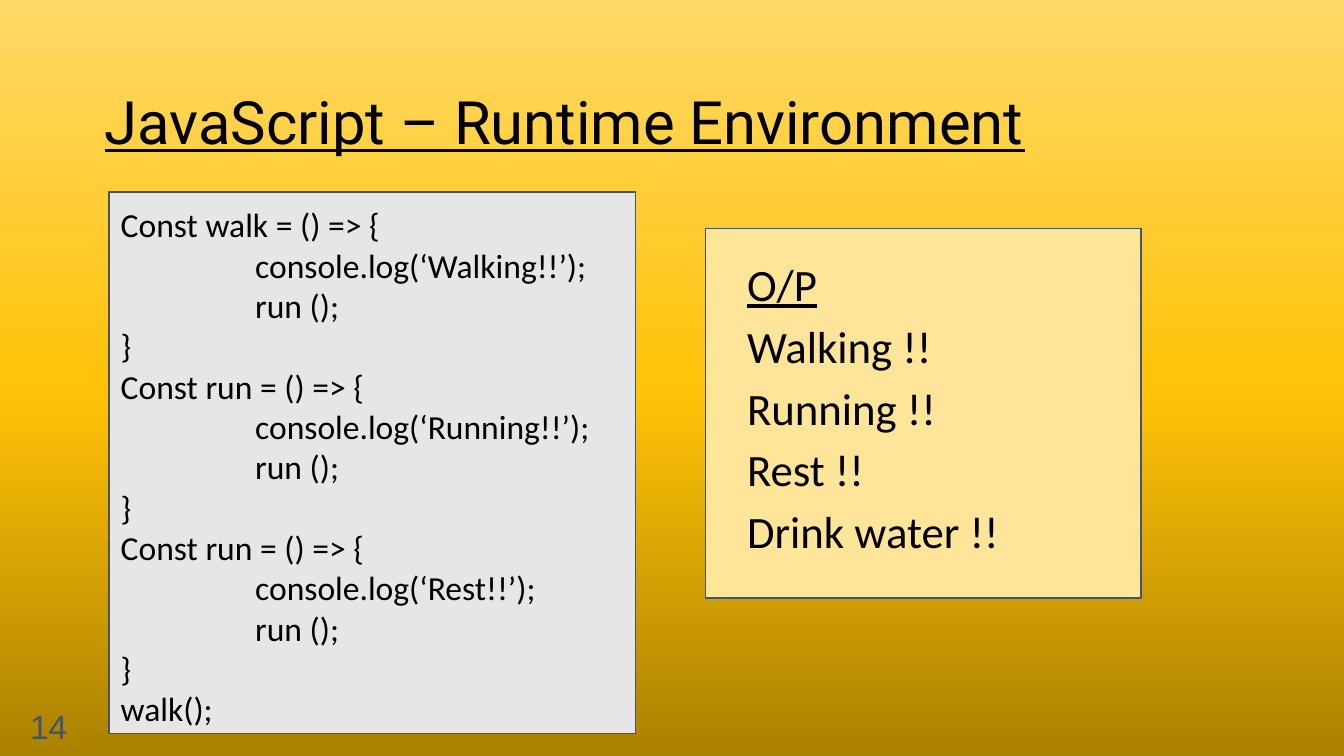
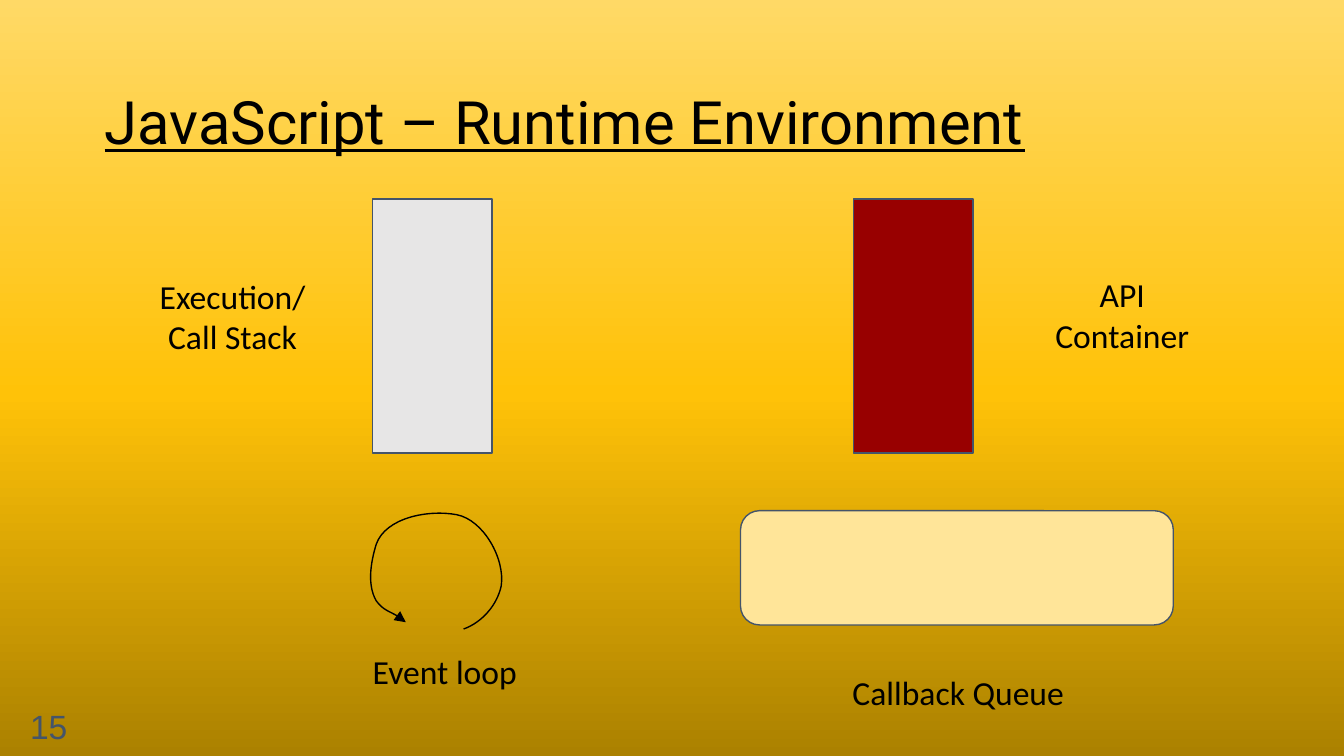
"""Build two slides on the JavaScript runtime environment, on a grid of 0.1 inch cells."""
from copy import deepcopy

from lxml import etree
from pptx import Presentation
from pptx import util as u
from pptx.dml.color import RGBColor
from pptx.enum import shapes, text
from pptx.oxml.ns import qn

CELL = u.Inches(0.1)
COLUMNS, ROWS = 100, 56.25
COLORS = {
    "ink": "000000", "slate": "44546A", "grey": "E7E6E6", "cream": "FFE599", "red": "980000",
    "dark gold": "AB8100", "gold": "FFC208", "light gold": "FFD966",
}
RGB = {name: RGBColor.from_string(value) for name, value in COLORS.items()}
BACKDROP = [(0, "dark gold"), (0.48, "gold"), (1, "light gold")]
LEFT, CENTER, RIGHT = text.PP_ALIGN.LEFT, text.PP_ALIGN.CENTER, text.PP_ALIGN.RIGHT
RECTANGLE = shapes.MSO_SHAPE.RECTANGLE


def add_text(page, place, lines, size=18, font="Calibri", color="ink", align=LEFT):
    box = page.shapes.add_textbox(*(round(n * CELL) for n in place))
    frame = box.text_frame
    frame.word_wrap = True
    frame.margin_left = frame.margin_right = frame.margin_top = frame.margin_bottom = CELL
    frame.text = "\n".join(lines)
    for para in frame.paragraphs:
        para.alignment = align
        para.font.size, para.font.name = u.Pt(size), font
        para.font.color.rgb = RGB[color]
    return frame


def add_box(page, place, fill, kind=RECTANGLE):
    box = page.shapes.add_shape(kind, *(round(n * CELL) for n in place))
    box.shadow.inherit = False
    box.fill.solid()
    box.fill.fore_color.rgb = RGB[fill]
    box.line.color.rgb = RGB["slate"]
    box.line.width = u.Pt(0.75)


deck = Presentation()
deck.slide_width, deck.slide_height = round(COLUMNS * CELL), round(ROWS * CELL)

pages = []
for number in (14, 15):
    page = deck.slides.add_slide(deck.slide_layouts[6])
    backdrop = page.background.fill
    backdrop.gradient()
    backdrop.gradient_angle = 90
    last_stop = page.element.xpath(".//a:gs")[-1]
    last_stop.addnext(deepcopy(last_stop))
    for stop, (position, color) in zip(backdrop.gradient_stops, BACKDROP):
        stop.position = position
        stop.color.rgb = RGB[color]
    title = add_text(page, (6.8, 5.3, 93.2, 6.3), ["JavaScript – Runtime Environment"], 32, "Roboto")
    title.paragraphs[0].font.underline = True
    footer = add_text(page, (0, 51.9, 6, 4.3), [str(number)], 18, "Arial", "slate", RIGHT)
    footer.vertical_anchor = text.MSO_ANCHOR.MIDDLE
    pages.append(page)
example, diagram = pages

add_box(example, (52.5, 17, 32.4, 27.5), "cream")
output = add_text(example, (54.6, 17.5, 34.5, 29.7),
                  ["O/P", "Walking !!", "Running !!", "Rest !!", "Drink water !!"], 24)
output.paragraphs[0].font.underline = True
for para in output.paragraphs:
    para.line_spacing = 1.15

code = []
for name, message in [("walk", "Walking"), ("run", "Running"), ("run", "Rest")]:
    code += [f"Const {name} = () => {{", f"\tconsole.log(‘{message}!!’);", "\trun ();", "}"]
add_box(example, (8.1, 14.3, 39.2, 40.3), "grey")
listing = add_text(example, (8, 14.2, 39.2, 36), code + ["walk();"])
for para in listing.paragraphs:
    tabs = etree.Element(qn("a:tabLst"))
    etree.SubElement(tabs, qn("a:tab"), pos=str(10 * CELL), algn="l")
    para._p.get_or_add_pPr().insert(0, tabs)

for left, fill in [(27.7, "grey"), (63.5, "red")]:
    add_box(diagram, (left, 14.8, 8.9, 18.9), fill)
add_box(diagram, (55.1, 38, 32.2, 8.5), "cream", shapes.MSO_SHAPE.ROUNDED_RECTANGLE)
for place, label in [
    ((9.9, 19.5, 14.8, 12.1), "Execution/ Call Stack"),
    ((76.1, 19.4, 14.8, 9.4), "API Container"),
    ((57.9, 49, 26.8, 4.3), "Callback Queue"),
    ((22.6, 47.4, 21, 7.1), "Event loop"),
]:
    add_text(diagram, place, [label], align=CENTER)

loop_start = (34.5, 46.8)
loop_curves = [
    (35.9, 46.3), (37, 45), (37.3, 43.6),
    (37.6, 41.6), (36, 38.7), (34, 38.3),
    (31.9, 37.9), (28.7, 38.5), (28, 40.5),
    (27.6, 41.8), (27.3, 43.5), (28, 44.7),
    (28.5, 45.4), (29.6, 45.7), (30.2, 46.3),
]
builder = diagram.shapes.build_freeform(*loop_start, scale=float(CELL))
builder = diagram.shapes.build_freeform(*(round(n * CELL) for n in loop_start))
builder.add_line_segments([(round(x * CELL), round(y * CELL)) for x, y in loop_curves], close=False)
event_loop = builder.convert_to_shape()
event_loop.shadow.inherit = False
event_loop.fill.background()
event_loop.line.color.rgb = RGB["ink"]
event_loop.line.width = u.Pt(0.75)
segments = event_loop._element.xpath(".//a:lnTo")
for first in range(0, len(segments), 3):
    curve = etree.Element(qn("a:cubicBezTo"))
    segments[first].addprevious(curve)
    for segment in segments[first:first + 3]:
        curve.append(segment[0])
        segment.getparent().remove(segment)
outline = event_loop._element.xpath("./p:spPr/a:ln")[0]
etree.SubElement(outline, qn("a:tailEnd"), type="triangle")

deck.save("out.pptx")
